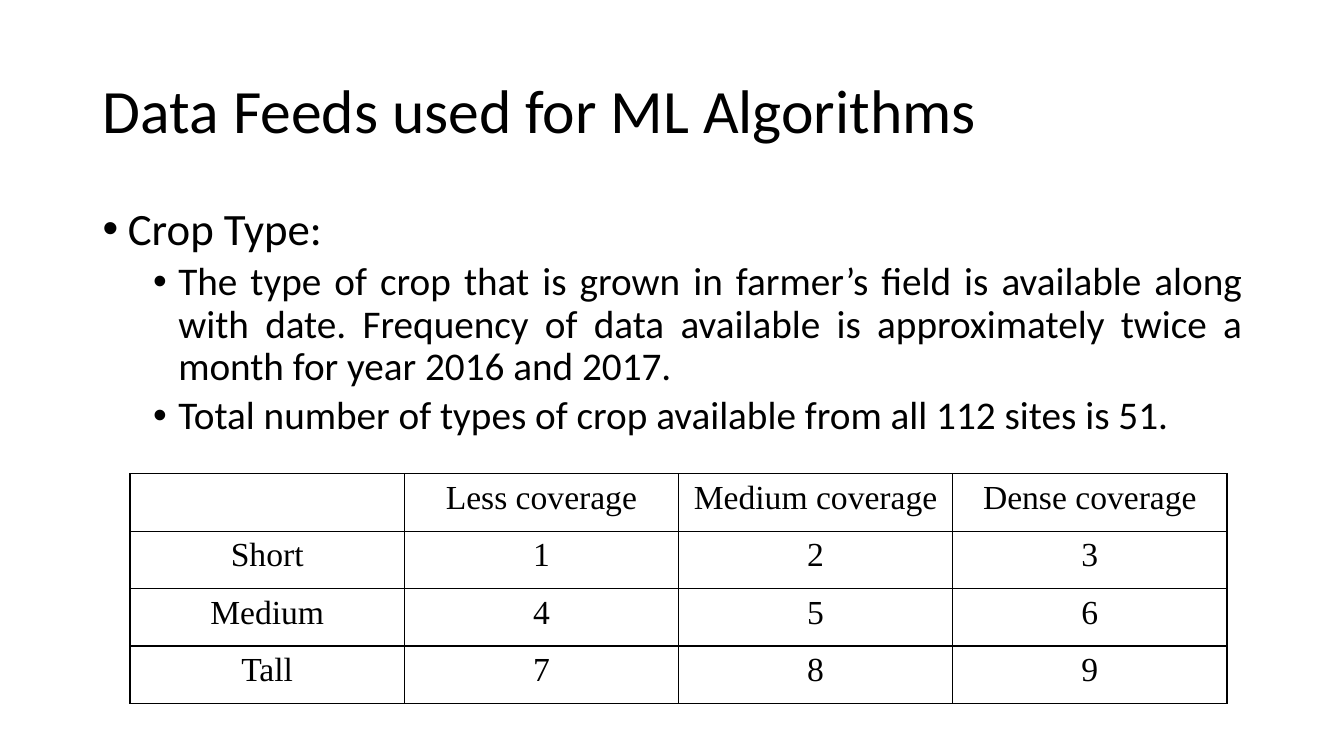
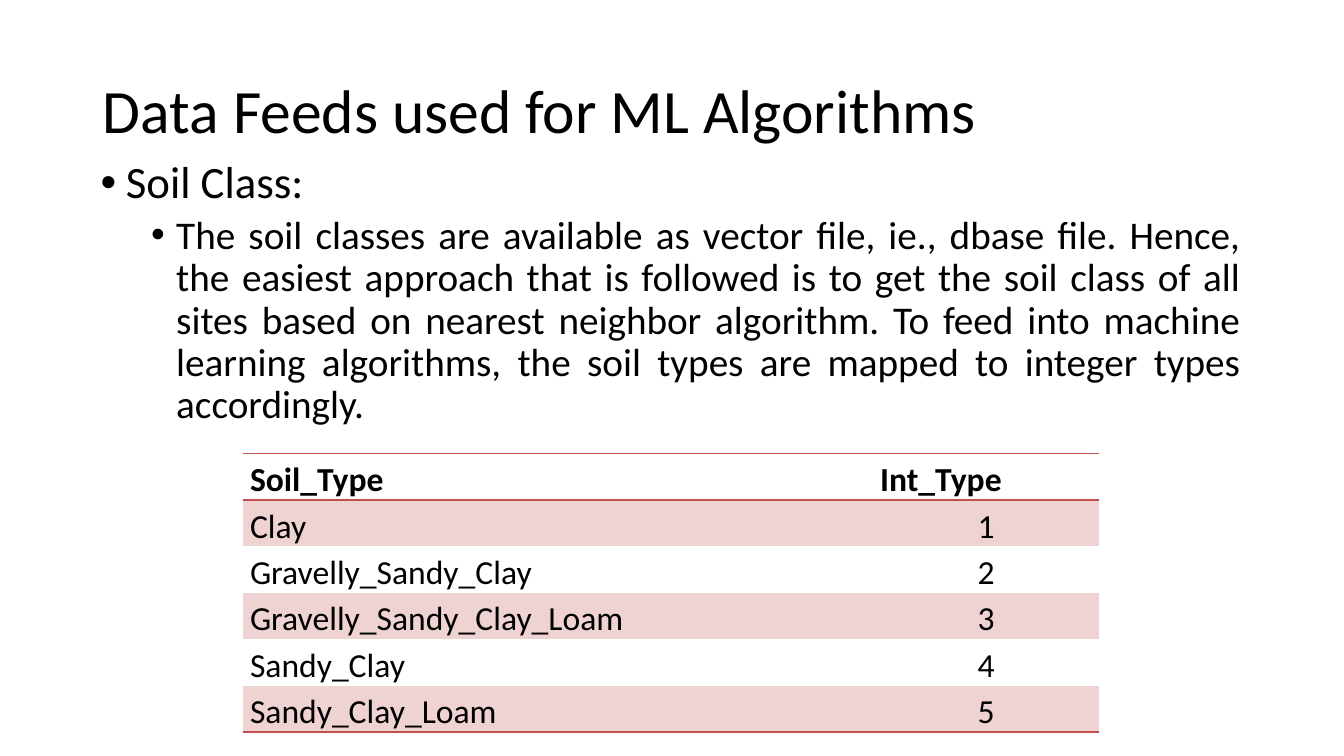
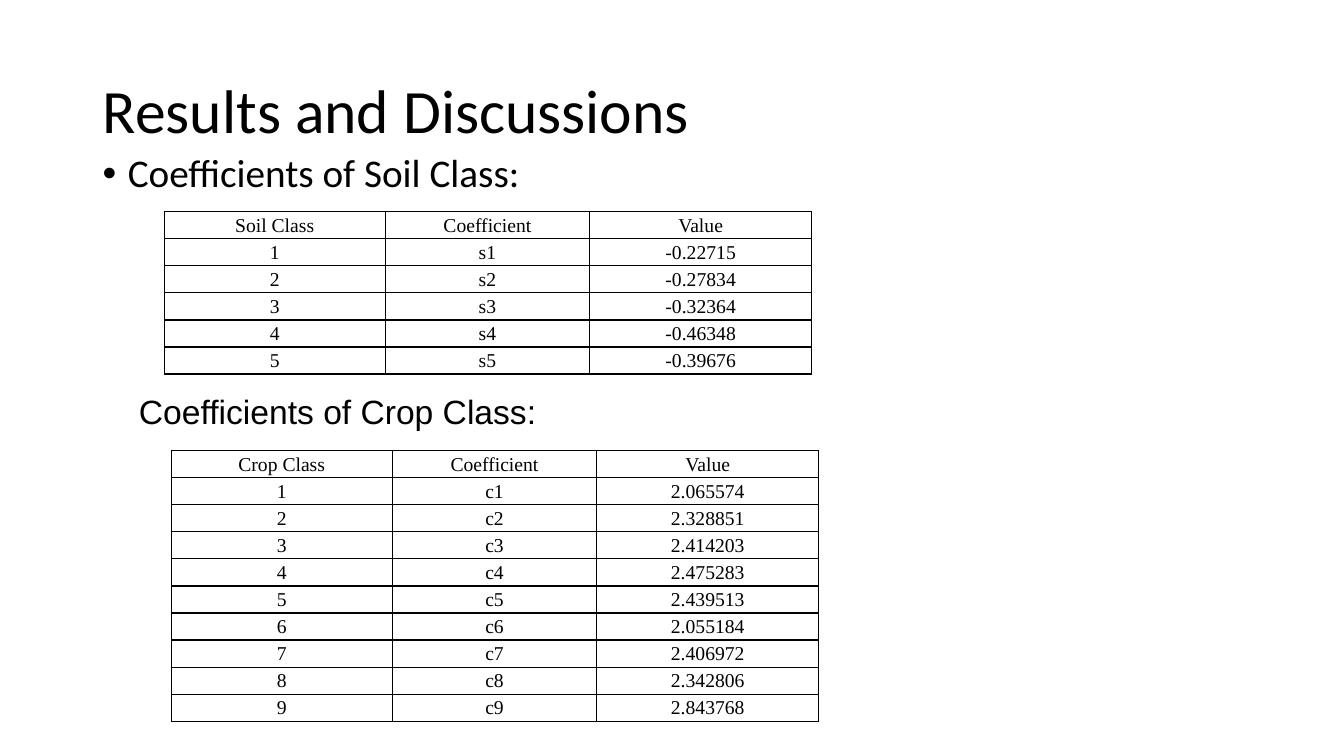
"""Build three slides on crop and soil data feeds and their coefficients."""
from dataclasses import dataclass

import lxml.etree
import pptx
import pptx.dml.color
import pptx.enum.text
import pptx.oxml.ns
import pptx.util

Inches = pptx.util.Inches
Align = pptx.enum.text.PP_ALIGN
Anchor = pptx.enum.text.MSO_ANCHOR


@dataclass(frozen=True)
class Theme:
    ink: str = "000000"
    paper: str = "FFFFFF"
    rule: str = "C0504D"
    band: str = "EFD3D2"
    sans: str = "Calibri"
    serif: str = "Times New Roman"
    label: str = "Arial"
    title: int = 44
    large: int = 32
    body: int = 28
    cell: int = 24
    small: int = 14


THEME = Theme()


def tint(code):
    return pptx.dml.color.RGBColor.from_string(code)


def node(parent, tag, **attrs):
    return lxml.etree.SubElement(parent, pptx.oxml.ns.qn(tag), attrs)


def write(para, text, size, font, align=Align.LEFT, lead=1.0, bold=False):
    para.alignment = align
    para.line_spacing = lead
    run = para.add_run()
    run.text = text
    run.font.size = pptx.util.Pt(size)
    run.font.name = font
    run.font.bold = bold
    run.font.color.rgb = tint(THEME.ink)


def start(deck, title):
    slide = deck.slides.add_slide(deck.slide_layouts[5])
    slide.background.fill.solid()
    slide.background.fill.fore_color.rgb = tint(THEME.paper)
    head = slide.shapes.title
    head.left, head.top = Inches(0.92), Inches(0.4)
    head.width, head.height = Inches(11.5), Inches(1.45)
    frame = head.text_frame
    frame.vertical_anchor = Anchor.MIDDLE
    write(frame.paragraphs[0], title, THEME.title, THEME.sans, lead=0.9)
    return slide


def frame_at(slide, left, top, width, height):
    frame = slide.shapes.add_textbox(
        Inches(left), Inches(top), Inches(width), Inches(height)).text_frame
    frame.word_wrap = True
    return frame


def bullets(slide, left, top, items, align=Align.JUSTIFY):
    frame = frame_at(slide, left, top, 11.5, 4.76)
    for spot, (level, size, text) in enumerate(items):
        para = frame.add_paragraph() if spot else frame.paragraphs[0]
        para.level = level
        para.space_before = pptx.util.Pt(5 * level)
        write(para, text, size, THEME.sans, align, 0.9)
        props = para._p.get_or_add_pPr()
        props.set("marL", str(Inches(0.25 + 0.5 * level)))
        props.set("indent", str(Inches(-0.25)))
        node(node(props, "a:buClr"), "a:srgbClr", val=THEME.ink)
        node(props, "a:buFont", typeface="Arial")
        node(props, "a:buChar", char="•")


def edge(cell, side, color):
    line = node(cell._tc.get_or_add_tcPr(), "a:ln" + side,
                w=str(pptx.util.Pt(1)))
    if color:
        node(node(line, "a:solidFill"), "a:srgbClr", val=color)
    else:
        node(line, "a:noFill")


def table(slide, left, top, widths, height, rows, style):
    grid = slide.shapes.add_table(
        len(rows), len(widths), Inches(left), Inches(top),
        Inches(sum(widths)), Inches(height * len(rows))).table
    grid.first_row = grid.horz_banding = False
    for col, width in zip(grid.columns, widths):
        col.width = Inches(width)
    for y, row in enumerate(rows):
        grid.rows[y].height = Inches(height)
        for x, text in enumerate(row):
            cell = grid.cell(y, x)
            cell.margin_left = cell.margin_right = Inches(0.07)
            cell.margin_top = cell.margin_bottom = 0
            style(cell, text, y, x, len(rows))


def ruled(size):
    def style(cell, text, y, x, count):
        for side in "LRTB":
            edge(cell, side, THEME.ink)
        cell.fill.background()
        if text:
            write(cell.text_frame.paragraphs[0], text, size, THEME.serif,
                  Align.CENTER, 1.15)
    return style


def banded(cell, text, y, x, count):
    lines = (0, 1, count)
    for side, lined in (("L", False), ("R", False),
                        ("T", y in lines), ("B", y + 1 in lines)):
        edge(cell, side, THEME.rule if lined else None)
    if y % 2:
        cell.fill.solid()
        cell.fill.fore_color.rgb = tint(THEME.band)
    else:
        cell.fill.background()
    align = Align.CENTER if x and y else Align.LEFT
    write(cell.text_frame.paragraphs[0], text, THEME.cell, THEME.sans,
          align, 1.15, bold=y == 0)


def factors(slide, left, top, name, key, values):
    rows = [(name, "Coefficient", "Value")]
    rows += [(str(n), f"{key}{n}", value) for n, value in enumerate(values, 1)]
    table(slide, left, top, (2.19, 2.03, 2.2), 0.24, rows, ruled(THEME.small))


def crops(deck):
    slide = start(deck, "Data Feeds used for ML Algorithms")
    bullets(slide, 0.92, 2, [
        (0, THEME.large, "Crop Type:"),
        (1, THEME.body, "The type of crop that is grown in farmer’s field is "
         "available along with date. Frequency of data available is "
         "approximately twice a month for year 2016 and 2017."),
        (1, THEME.body, "Total number of types of crop available from all "
         "112 sites is 51."),
    ])
    rows = [
        ("", "Less coverage", "Medium coverage", "Dense coverage"),
        ("Short", "1", "2", "3"),
        ("Medium", "4", "5", "6"),
        ("Tall", "7", "8", "9"),
    ]
    table(slide, 1.29, 4.7, (2.72,) * 4, 0.57, rows, ruled(THEME.cell))


def soils(deck):
    slide = start(deck, "Data Feeds used for ML Algorithms")
    bullets(slide, 0.9, 1.54, [
        (0, THEME.large, "Soil Class:"),
        (1, THEME.body, "The soil classes are available as vector file, ie., "
         "dbase file. Hence, the easiest approach that is followed is to get "
         "the soil class of all sites based on nearest neighbor algorithm. To "
         "feed into machine learning algorithms, the soil types are mapped to "
         "integer types accordingly."),
    ])
    kinds = ("Clay", "Gravelly_Sandy_Clay", "Gravelly_Sandy_Clay_Loam",
             "Sandy_Clay", "Sandy_Clay_Loam")
    rows = [("Soil_Type", "Int_Type")]
    rows += [(kind, str(n)) for n, kind in enumerate(kinds, 1)]
    table(slide, 2.41, 4.5, (6.25, 2.24), 0.46, rows, banded)


def results(deck):
    slide = start(deck, "Results and Discussions")
    bullets(slide, 0.92, 1.48,
            [(0, THEME.body, "Coefficients of Soil Class:")], Align.LEFT)
    factors(slide, 1.63, 2.1, "Soil Class", "s",
            ("-0.22715", "-0.27834", "-0.32364", "-0.46348", "-0.39676"))
    frame = frame_at(slide, 1.28, 3.83, 4.18, 0.5)
    frame.vertical_anchor = Anchor.MIDDLE
    write(frame.paragraphs[0], "Coefficients of Crop Class:", THEME.cell,
          THEME.label, Align.JUSTIFY)
    factors(slide, 1.7, 4.47, "Crop Class", "c",
            ("2.065574", "2.328851", "2.414203", "2.475283", "2.439513",
             "2.055184", "2.406972", "2.342806", "2.843768"))


def main():
    deck = pptx.Presentation()
    deck.slide_width, deck.slide_height = Inches(13.33), Inches(7.5)
    for build in (crops, soils, results):
        build(deck)
    deck.save("out.pptx")


if __name__ == "__main__":
    main()
